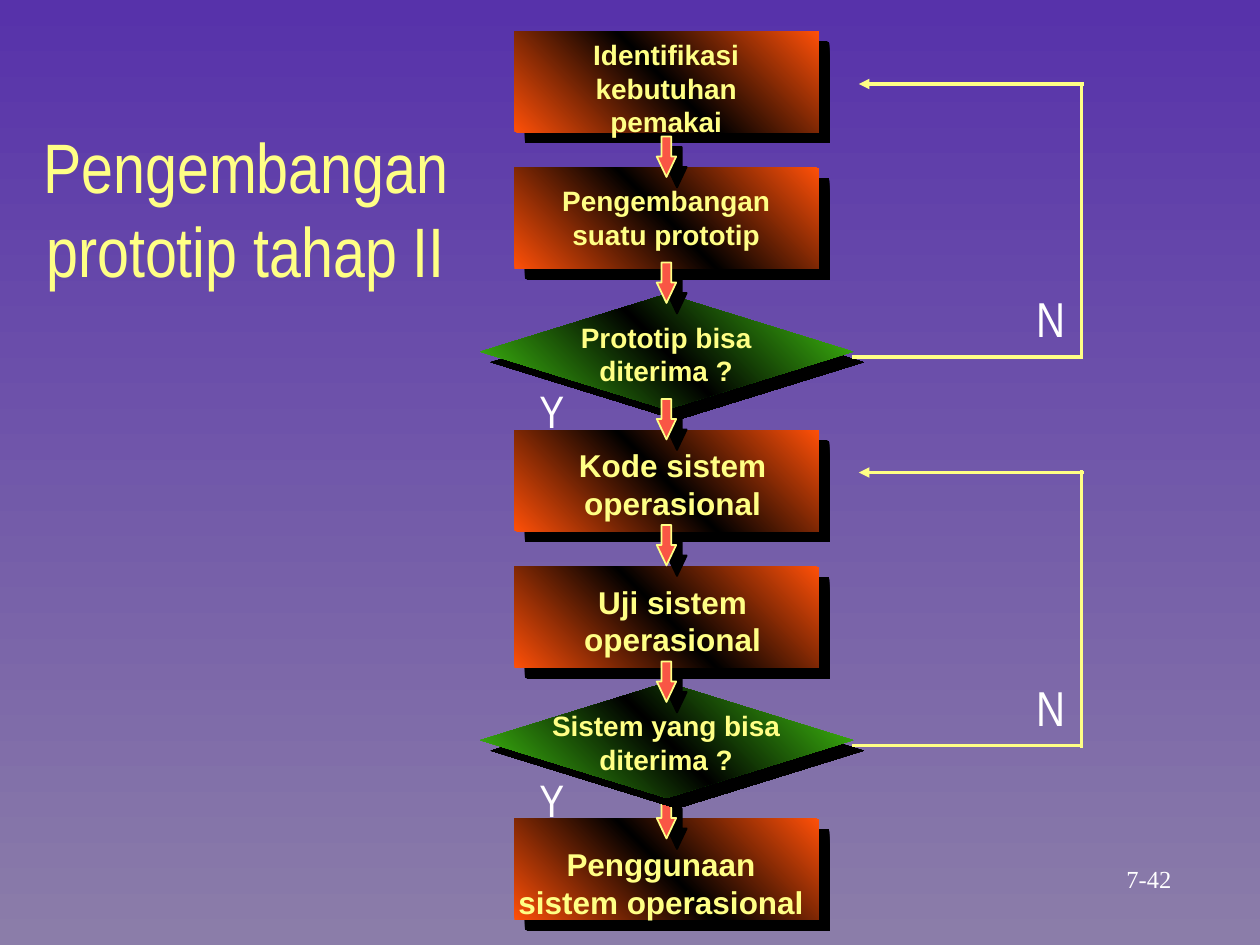
"""Build the flowchart slide of the second prototyping stage."""
from copy import deepcopy

from lxml import etree
from pptx import Presentation
from pptx import util as u
from pptx.dml.color import RGBColor
from pptx.enum import shapes, text
from pptx.oxml import ns

COLORS = {"sky": "5732AA", "dusk": "8B7DA9", "orange": "FF5008", "green": "46D412",
          "black": "000000", "coral": "F95645", "yellow": "FFFF85", "white": "FFFFFF"}
FORMATS = {
    "title": {"size": u.Pt(40), "name": "Arial Narrow"},
    "step": {"size": u.Pt(16), "name": "Arial", "bold": True},
    "large step": {"size": u.Pt(18), "name": "Arial", "bold": True},
    "no": {"size": u.Pt(28), "name": "Arial Narrow"},
    "yes": {"size": u.Pt(26), "name": "Arial Narrow"},
    "page": {"size": u.Pt(14), "name": "Times New Roman"},
}
COLUMNS, ROWS = 120, 90


class Flowchart:
    """Hold the style and the current slide, measured in grid columns and rows."""

    def __init__(self, deck):
        """Open a slide with a title placeholder and work out the grid cell."""
        self.slide = deck.slides.add_slide(deck.slide_layouts[5])
        self.column = deck.slide_width / COLUMNS
        self.row = deck.slide_height / ROWS

    def place(self, left, top, width, height):
        """Turn grid lengths into slide lengths."""
        return (round(left * self.column), round(top * self.row),
                round(width * self.column), round(height * self.row))

    def color(self, name):
        """Return a named colour."""
        return RGBColor.from_string(COLORS[name])

    def gradient(self, fill, owner, angle, names):
        """Spread the named colours evenly over a gradient fill."""
        fill.gradient()
        fill.gradient_angle = angle
        stops = owner.find(".//" + ns.qn("a:gsLst"))
        for _ in names[2:]:
            stops.append(deepcopy(stops[0]))
        for index, (stop, name) in enumerate(zip(fill.gradient_stops, names)):
            stop.position = index / (len(names) - 1)
            stop.color.rgb = self.color(name)

    def background(self, top, bottom):
        """Shade the slide from top to bottom."""
        self.gradient(self.slide.background.fill, self.slide.element, 270, [top, bottom])

    def shadow(self, shape):
        """Give a shape a hard black shadow."""
        shape.shadow.inherit = False
        effects = shape.element.spPr.find(ns.qn("a:effectLst"))
        outer = etree.SubElement(effects, ns.qn("a:outerShdw"), blurRad="0",
                                 dist=str(u.Pt(8.5)), dir="2700000",
                                 algn="ctr", rotWithShape="0")
        etree.SubElement(outer, ns.qn("a:srgbClr"), val=COLORS["black"])

    def node(self, kind, box, name):
        """Draw a flowchart node with a dark diagonal band."""
        node = self.slide.shapes.add_shape(kind, *self.place(*box))
        self.gradient(node.fill, node.element, 45, [name, "black", name])
        node.line.fill.background()
        self.shadow(node)

    def process(self, top):
        """Draw a process rectangle."""
        self.node(shapes.MSO_SHAPE.RECTANGLE, (49, top, 29, 9.6), "orange")

    def decision(self, top):
        """Draw a decision diamond."""
        self.node(shapes.MSO_SHAPE.DIAMOND, (45.75, top, 35.5, 11), "green")

    def arrow(self, top):
        """Draw a block arrow that points down to the next node."""
        arrow = self.slide.shapes.add_shape(shapes.MSO_SHAPE.RIGHT_ARROW,
                                            *self.place(61.55, top, 3.85, 1.85))
        arrow.rotation = 90
        arrow.adjustments[0], arrow.adjustments[1] = 0.5, 1.05
        arrow.fill.solid()
        arrow.fill.fore_color.rgb = self.color("coral")
        arrow.line.color.rgb = self.color("yellow")
        arrow.line.width = u.Pt(1)
        self.shadow(arrow)

    def line(self, x1, y1, x2, y2, head=False):
        """Draw a straight line, with an arrowhead at its end if asked."""
        line = self.slide.shapes.add_connector(shapes.MSO_CONNECTOR.STRAIGHT,
                                               *self.place(x1, y1, x2, y2))
        line.line.color.rgb = self.color("yellow")
        line.line.width = u.Pt(2)
        properties = line.element.spPr
        if head:
            etree.SubElement(properties.find(ns.qn("a:ln")), ns.qn("a:tailEnd"),
                             type="triangle")
        etree.SubElement(properties, ns.qn("a:effectLst"))

    def loop_back(self, top):
        """Draw the return route from a decision up to the first step of its part."""
        bottom = top + 26
        self.line(81.1, bottom, 102.9, bottom)
        self.line(103, bottom + 0.2, 103, top - 0.2)
        self.line(103.2, top, 81.8, top, head=True)

    def set_words(self, shape, words, style, color, anchor=text.MSO_ANCHOR.TOP, wrap=True):
        """Fill a text shape with one centred paragraph."""
        frame = shape.text_frame
        frame.text = words
        for key, value in {"word_wrap": wrap, "vertical_anchor": anchor,
                           "auto_size": text.MSO_AUTO_SIZE.NONE}.items():
            setattr(frame, key, value)
        paragraph = frame.paragraphs[0]
        paragraph.alignment = text.PP_ALIGN.CENTER
        for key, value in FORMATS[style].items():
            setattr(paragraph.font, key, value)
        paragraph.font.color.rgb = self.color(color)

    def title(self, words, box):
        """Move and fill the title placeholder."""
        title = self.slide.shapes.title
        title.left, title.top, title.width, title.height = self.place(*box)
        self.set_words(title, words, "title", "yellow")

    def label(self, words, box, style, color="white", **options):
        """Add a text box."""
        self.set_words(self.slide.shapes.add_textbox(*self.place(*box)),
                       words, style, color, **options)


def main():
    """Build and save the slide."""
    deck = Presentation()
    deck.slide_width, deck.slide_height = u.Inches(10), u.Inches(7.5)
    chart = Flowchart(deck)
    chart.background("sky", "dusk")
    chart.title("Pengembangan prototip tahap II", (2.75, 11.2, 41.3, 33.1))

    for top in (3, 16, 41, 54, 78):
        chart.process(top)
    chart.arrow(77)
    for top in (28, 65):
        chart.decision(top)
    for top in (14, 26, 39, 51, 64):
        chart.arrow(top)

    for part in (0, 37):
        chart.loop_back(part + 8)
        chart.label("N", (97, part + 26.9, 6.1, 6.75), "no")
        chart.label("Y", (49, part + 35.9, 7.1, 6.4), "yes")

    for words, top, height in (("Identifikasi kebutuhan pemakai", 3, 10.8),
                               ("Pengembangan suatu prototip", 16.9, 7.6),
                               ("Prototip bisa diterima ?", 29.9, 7.6),
                               ("Sistem yang bisa diterima ?", 66.9, 7.6)):
        chart.label(words, (49.9, top, 27.1, height), "step", "yellow")
    for words, left, top in (("Kode sistem operasional", 49, 41.9),
                             ("Uji sistem operasional", 49, 54.9),
                             ("Penggunaan sistem operasional", 47.9, 79.9)):
        chart.label(words, (left, top, 30.1, 8.4), "large step", "yellow")

    chart.label("7-42", (102.35, 81.6, 14.15, 4.1), "page",
                anchor=text.MSO_ANCHOR.MIDDLE, wrap=False)
    deck.save("out.pptx")


if __name__ == "__main__":
    main()
